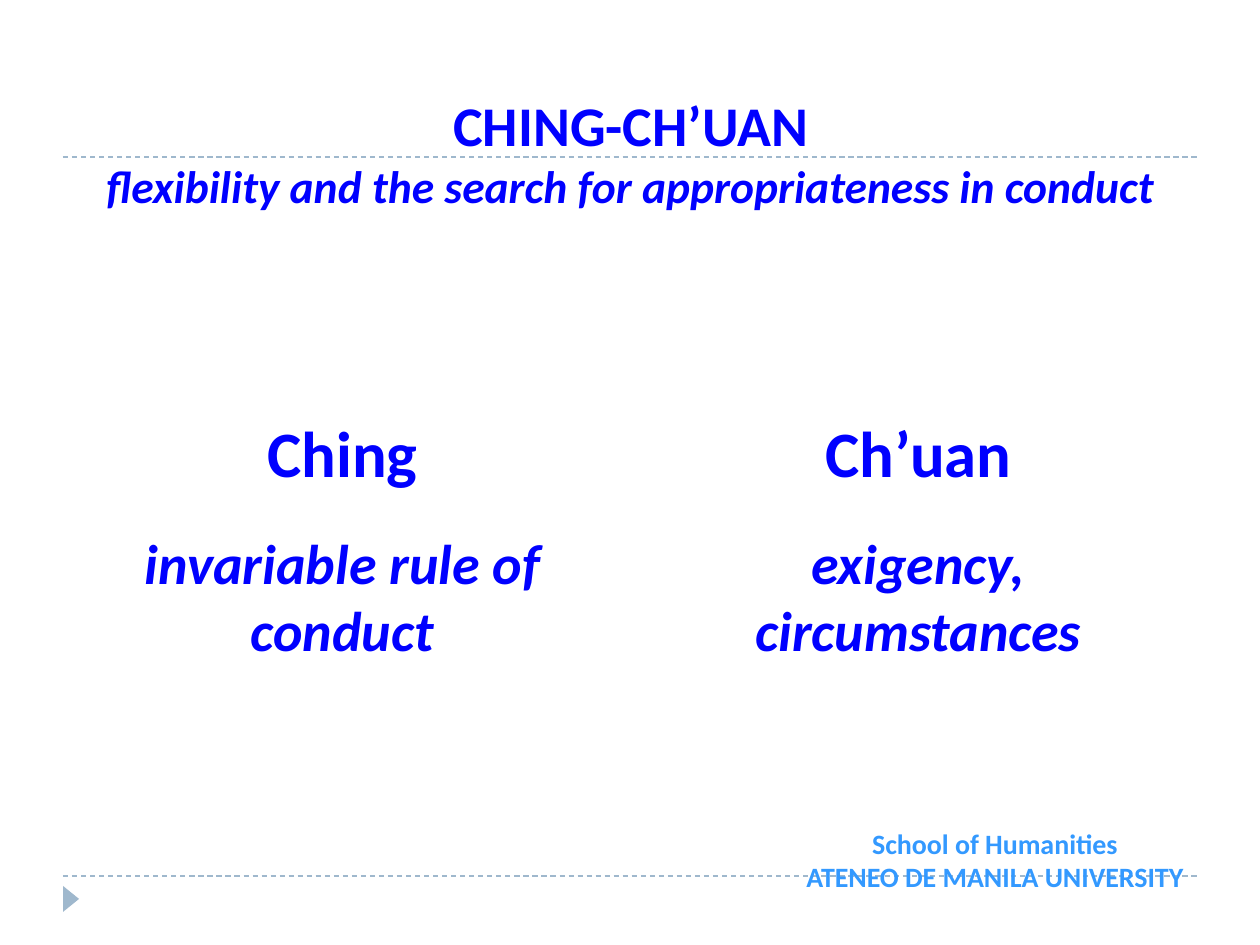
from lxml.etree import SubElement
from pptx import Presentation
from pptx.dml.color import RGBColor
from pptx.enum.dml import MSO_LINE_DASH_STYLE as Dash
from pptx.enum.shapes import MSO_CONNECTOR_TYPE as Connector, MSO_SHAPE as Shape
from pptx.enum.text import MSO_ANCHOR as Anchor, PP_ALIGN as Align
from pptx.oxml.ns import qn
from pptx.util import Pt

PX = 914400 // 126
BLUE = "0000FF"
SKY = "3399FF"
STEEL = "9FB8CD"
WHITE = "FFFFFF"


def px(*lengths):
    return [length * PX for length in lengths]


def color(value):
    return RGBColor.from_string(value)


def style_font(font, size, italic=False, fill=BLUE):
    font.name = "Calibri"
    font.size = Pt(size)
    font.bold = True
    font.italic = italic
    font.color.rgb = color(fill)


def centred_paragraph(shape, anchor):
    frame = shape.text_frame
    frame.word_wrap = True
    frame.vertical_anchor = anchor
    paragraph = frame.paragraphs[0]
    paragraph.alignment = Align.CENTER
    return paragraph


def add_rule(slide, y):
    rule = slide.shapes.add_connector(Connector.STRAIGHT, *px(63, y, 1197, y))
    rule.line.color.rgb = color(STEEL)
    rule.line.width = Pt(0.75)
    rule.line.dash_style = Dash.DASH
    SubElement(rule._element.spPr, qn("a:effectLst"))


def add_marker(slide):
    marker = slide.shapes.add_shape(Shape.ISOSCELES_TRIANGLE, *px(58, 891, 26, 16))
    marker.shadow.inherit = False
    marker.rotation = 90
    marker.fill.solid()
    marker.fill.fore_color.rgb = color(STEEL)
    marker.line.fill.background()


def add_title(slide, name, meaning):
    title = slide.shapes.add_textbox(*px(64, 55, 1134, 193))
    paragraph = centred_paragraph(title, Anchor.MIDDLE)
    name_run = paragraph.add_run()
    name_run.text = name
    style_font(name_run.font, 32)
    paragraph.add_line_break()
    meaning_run = paragraph.add_run()
    meaning_run.text = meaning
    style_font(meaning_run.font, 26, italic=True)


def add_panel(slide, box, text, size, anchor, italic=False, spacing=1.0):
    panel = slide.shapes.add_shape(Shape.RECTANGLE, *px(*box))
    panel.shadow.inherit = False
    panel.fill.background()
    panel.line.color.rgb = color(WHITE)
    panel.line.width = Pt(0.75)
    paragraph = centred_paragraph(panel, anchor)
    paragraph.text = text
    paragraph.line_spacing = spacing
    style_font(paragraph.font, size, italic)


def add_affiliation(slide, text):
    affiliation = slide.shapes.add_textbox(*px(789, 820, 412, 81))
    paragraph = centred_paragraph(affiliation, Anchor.TOP)
    paragraph.text = text
    style_font(paragraph.font, 16, fill=SKY)


def main():
    presentation = Presentation()
    presentation.slide_width, presentation.slide_height = px(1260, 945)
    slide = presentation.slides.add_slide(presentation.slide_layouts[6])

    for y in (876, 157):
        add_rule(slide, y)
    add_marker(slide)
    add_title(slide, "CHING-CH’UAN",
              "flexibility and the search for appropriateness in conduct")

    columns = [
        (64, "Ching", "invariable rule of conduct", 329),
        (640, "Ch’uan", "exigency, circumstances", 258),
    ]
    for left, term, meaning, height in columns:
        add_panel(slide, (left, 403, 557, 95), term, 37, Anchor.BOTTOM, spacing=0.9)
        add_panel(slide, (left, 522, 557, height), meaning, 32, Anchor.TOP, italic=True)

    add_affiliation(slide, "School of Humanities\vATENEO DE MANILA UNIVERSITY")
    presentation.save("out.pptx")


if __name__ == "__main__":
    main()
